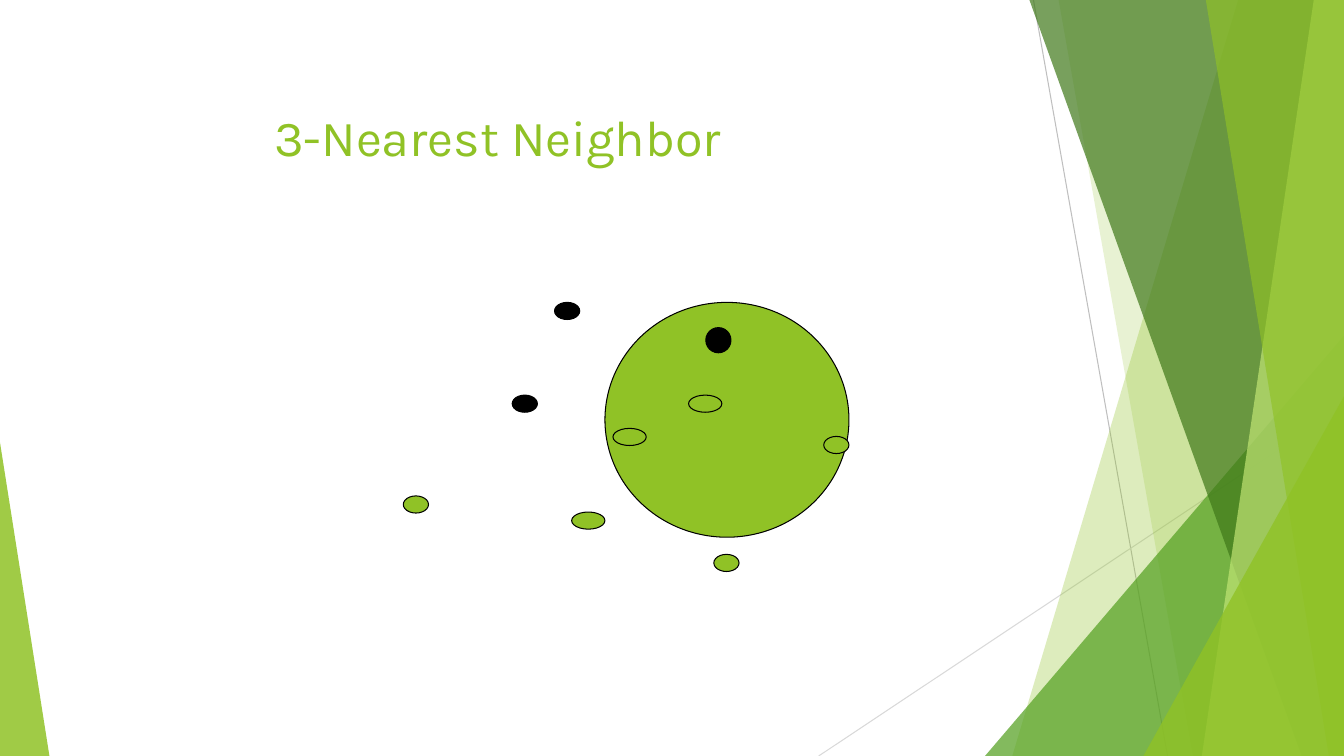
import dataclasses

import lxml.etree
import pptx
import pptx.dml.color
import pptx.enum.shapes
import pptx.enum.text
import pptx.oxml.ns
import pptx.util

HUES = {
    "lime": "90C226", "leaf": "54A021", "pine": "3F7819", "pale": "C0E474",
    "black": "000000", "gray": "BFBFBF", "mist": "D9D9D9",
}
WIDE, HIGH = 13.33, 7.5
KINDS = pptx.enum.shapes.MSO_SHAPE


@dataclasses.dataclass
class Ray:
    start: tuple[float, float]
    end: tuple[float, float]
    hue: str


@dataclasses.dataclass
class Band:
    """A slanted panel running from the top edge to the bottom edge."""
    top: float
    base: float
    hue: str
    alpha: int


@dataclasses.dataclass
class Wedge:
    """A right triangle standing on the bottom edge."""
    left: float
    top: float
    width: float
    peak: int
    hue: str
    alpha: int


@dataclasses.dataclass
class Dot:
    left: float
    top: float
    width: float = 0.25
    height: float = 0.17
    hue: str = "lime"


RAYS = [Ray((10.25, 0), (11.58, HIGH), "gray"),
        Ray((WIDE, 4.03), (8.12, HIGH), "mist")]

# Back to front
PANELS = [
    Band(12.28, 10.04, "lime", 30),
    Band(10.5, 11.83, "lime", 20),
    Wedge(9.77, 3.33, 3.56, 1, "leaf", 72),
    Band(10.21, 12.91, "pine", 70),
    Band(13.03, 11.92, "pale", 70),
    Band(11.96, 13.18, "lime", 65),
    Wedge(11.34, 3.93, 1.99, 1, "lime", 80),
    Wedge(0, 4.39, 0.49, 0, "lime", 85),
]

RING = Dot(6, 3, 2.42, 2.33)
DOTS = [
    Dot(5.08, 3.92, hue="black"),
    Dot(6.83, 3.92, 0.33),
    Dot(8.17, 4.33),
    Dot(5.5, 3, hue="black"),
    Dot(7, 3.25, height=0.25, hue="black"),
    Dot(4, 4.92),
    Dot(7.08, 5.5),
    Dot(5.67, 5.08, 0.33),
    Dot(6.08, 4.25, 0.33),
]


def size(inch: float) -> pptx.util.Cm:
    return pptx.util.Cm(inch * 2.54)


def tint(name: str) -> pptx.dml.color.RGBColor:
    return pptx.dml.color.RGBColor.from_string(HUES[name])


def paint(shape, hue: str, alpha: int = 100) -> None:
    shape.shadow.inherit = False
    shape.fill.solid()
    shape.fill.fore_color.rgb = tint(hue)
    if alpha < 100:
        node = shape._element.spPr.find(".//" + pptx.oxml.ns.qn("a:srgbClr"))
        lxml.etree.SubElement(node, pptx.oxml.ns.qn("a:alpha"),
                              val=str(alpha * 1000))


def stroke(line, hue: str) -> None:
    line.color.rgb = tint(hue)
    line.width = pptx.util.Pt(0.75)


def draw_ray(slide, ray: Ray) -> None:
    link = slide.shapes.add_connector(
        pptx.enum.shapes.MSO_CONNECTOR.STRAIGHT,
        *map(size, ray.start + ray.end))
    stroke(link.line, ray.hue)
    lxml.etree.SubElement(link._element.spPr,
                          pptx.oxml.ns.qn("a:effectLst"))


def draw_panel(slide, panel: Band | Wedge) -> None:
    if isinstance(panel, Band):
        form = slide.shapes.build_freeform(size(panel.top), 0)
        form.add_line_segments([
            (size(WIDE), 0), (size(WIDE), size(HIGH)),
            (size(panel.base), size(HIGH))], close=True)
        shape = form.convert_to_shape()
    else:
        shape = slide.shapes.add_shape(
            KINDS.ISOSCELES_TRIANGLE, size(panel.left), size(panel.top),
            size(panel.width), size(HIGH - panel.top))
        shape.adjustments[0] = panel.peak
    paint(shape, panel.hue, panel.alpha)
    shape.line.fill.background()


def draw_dot(slide, dot: Dot) -> None:
    shape = slide.shapes.add_shape(
        KINDS.OVAL, size(dot.left), size(dot.top),
        size(dot.width), size(dot.height))
    paint(shape, dot.hue)
    stroke(shape.line, "black")


def set_title(slide, text: str) -> None:
    title = slide.shapes.title
    title.left, title.top = size(2.62), size(0.94)
    title.width, title.height = size(8.93), size(0.83)
    frame = title.text_frame
    frame.auto_size = pptx.enum.text.MSO_AUTO_SIZE.NONE
    frame.vertical_anchor = pptx.enum.text.MSO_ANCHOR.MIDDLE
    para = frame.paragraphs[0]
    para.alignment = pptx.enum.text.PP_ALIGN.LEFT
    run = para.add_run()
    run.text = text
    run.font.name = "Karla"
    run.font.size = pptx.util.Pt(36)
    run.font.color.rgb = tint("lime")
    # Bring the title in front of what is drawn so far
    slide.shapes._spTree.append(title._element)


def main() -> None:
    deck = pptx.Presentation()
    deck.slide_width, deck.slide_height = size(WIDE), size(HIGH)
    slide = deck.slides.add_slide(deck.slide_layouts.get_by_name("Title Only"))

    # Backdrop
    for ray in RAYS:
        draw_ray(slide, ray)
    for panel in PANELS:
        draw_panel(slide, panel)

    # Neighborhood, title and samples
    draw_dot(slide, RING)
    set_title(slide, "3-Nearest Neighbor")
    for dot in DOTS:
        draw_dot(slide, dot)

    deck.save("out.pptx")


if __name__ == "__main__":
    main()
